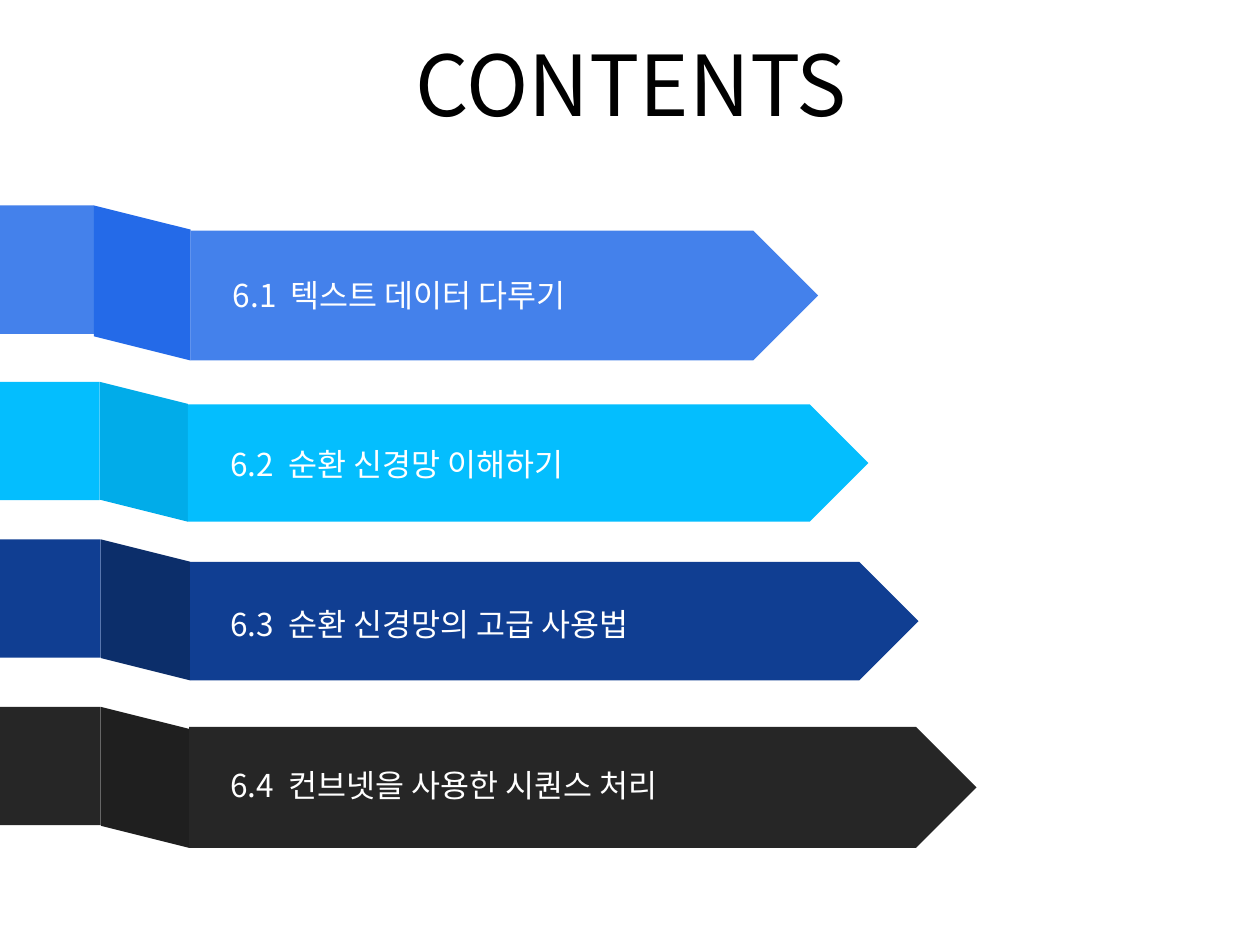
from dataclasses import dataclass

from lxml.etree import SubElement
from pptx import Presentation
from pptx.dml.color import RGBColor
from pptx.enum.shapes import MSO_SHAPE as SHAPE
from pptx.enum.text import MSO_ANCHOR as ANCHOR, PP_ALIGN as ALIGN
from pptx.oxml.ns import qn
from pptx.util import Pt

FONT = "Noto Sans CJK KR"
BLACK = RGBColor(0x00, 0x00, 0x00)
WHITE = RGBColor(0xFF, 0xFF, 0xFF)
BLUE = RGBColor(0x44, 0x81, 0xEB)
BLUE_FOLD = RGBColor(0x24, 0x6A, 0xE8)
CYAN = RGBColor(0x04, 0xBE, 0xFE)
CYAN_FOLD = RGBColor(0x01, 0xAC, 0xE9)
NAVY = RGBColor(0x10, 0x3E, 0x92)
NAVY_FOLD = RGBColor(0x0C, 0x2E, 0x6A)
CHARCOAL = RGBColor(0x26, 0x26, 0x26)
CHARCOAL_FOLD = RGBColor(0x1F, 0x1F, 0x1F)
NUMBER_GAP = 4


@dataclass
class Ribbon:
    number: str
    topic: str
    color: RGBColor
    fold_color: RGBColor
    strip: tuple
    arrow: tuple
    label: tuple


RIBBONS = [
    Ribbon("6.1", "텍스트 데이터 다루기", BLUE, BLUE_FOLD,
           (0, 117.4, 53.6, 73.4), (108.9, 131.8, 358.6, 74.2), (126, 154.1, 234, 28.8)),
    Ribbon("6.2", "순환 신경망 이해하기", CYAN, CYAN_FOLD,
           (0, 218.2, 57, 67.7), (107.4, 231.1, 388.8, 67), (124.6, 250.6, 229.7, 28.8)),
    Ribbon("6.3", "순환 신경망의 고급 사용법", NAVY, NAVY_FOLD,
           (0, 308.2, 57.6, 67.7), (108.7, 321.1, 416.2, 67.7), (124.6, 342, 263.5, 28.8)),
    Ribbon("6.4", "컨브넷을 사용한 시퀀스 처리", CHARCOAL, CHARCOAL_FOLD,
           (0, 403.9, 57.6, 67.7), (108, 415.4, 450, 69.1), (124.6, 434.2, 286.6, 28.8)),
]


def points(box):
    return [Pt(length) for length in box]


def style_paragraph(paragraph, size, color, align):
    paragraph.alignment = align
    font = paragraph.font
    font.name, font.size = FONT, Pt(size)
    font.color.rgb = color
    defaults = paragraph._p.get_or_add_pPr().find(qn("a:defRPr"))
    SubElement(defaults, qn("a:ea")).set("typeface", FONT)


def set_title(slide, text):
    title = slide.shapes.title
    title.left, title.top, title.width, title.height = points((51.8, 15.1, 617.8, 65.5))
    title.text_frame.text = text
    title.text_frame.vertical_anchor = ANCHOR.TOP
    style_paragraph(title.text_frame.paragraphs[0], 48, BLACK, ALIGN.CENTER)


def add_panel(group, preset, box, color):
    panel = group.shapes.add_shape(preset, *points(box))
    panel.shadow.inherit = False
    panel.fill.solid()
    panel.fill.fore_color.rgb = color
    panel.line.fill.background()
    return panel


def add_fold(group, ribbon):
    _, top, left, _ = ribbon.strip
    right, arrow_top, _, arrow_height = ribbon.arrow
    width, height = right - left, arrow_top + arrow_height - top
    shift = (height - width) / 2
    fold = add_panel(group, SHAPE.PARALLELOGRAM,
                     (left - shift, top + shift, height, width), ribbon.fold_color)
    fold.rotation = 90


def add_label(group, ribbon):
    frame = group.shapes.add_textbox(*points(ribbon.label)).text_frame
    frame.word_wrap = True
    paragraph = frame.paragraphs[0]
    style_paragraph(paragraph, 18, WHITE, ALIGN.LEFT)
    for text in (ribbon.number, " ", ribbon.topic):
        run = paragraph.add_run()
        run.text = text
        if text == " ":
            run._r.get_or_add_rPr().set("spc", str(NUMBER_GAP * 100))


def add_ribbon(slide, ribbon):
    group = slide.shapes.add_group_shape()
    add_panel(group, SHAPE.RECTANGLE, ribbon.strip, ribbon.color)
    add_fold(group, ribbon)
    add_panel(group, SHAPE.PENTAGON, ribbon.arrow, ribbon.color)
    add_label(group, ribbon)


def main():
    deck = Presentation()
    deck.slide_width, deck.slide_height = Pt(720), Pt(540)
    slide = deck.slides.add_slide(deck.slide_layouts[5])
    set_title(slide, "CONTENTS")
    for ribbon in RIBBONS:
        add_ribbon(slide, ribbon)
    deck.save("out.pptx")


main()
